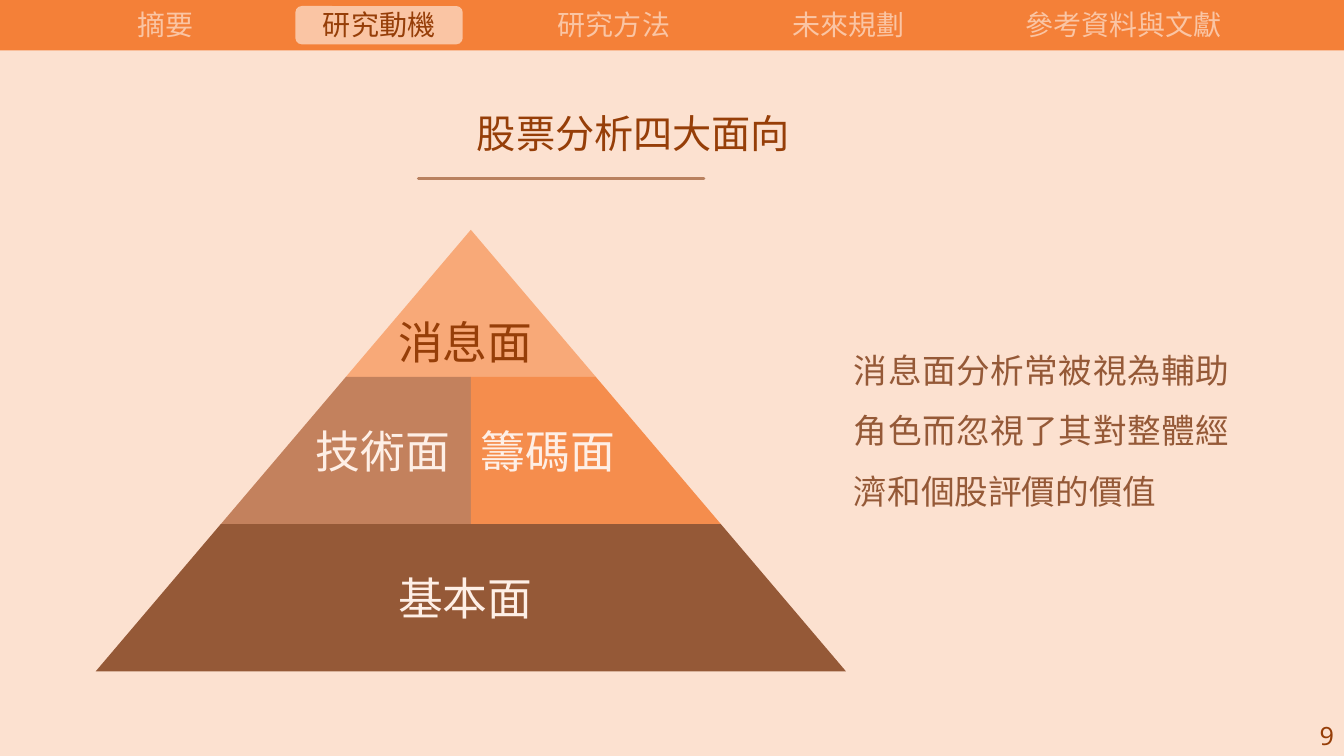
"""Build the slide on the four aspects of stock analysis."""
from pptx import Presentation, util as u
from pptx.dml.color import RGBColor
from pptx.enum import shapes, text
from pptx.oxml.xmlchemy import OxmlElement

BACKGROUND = RGBColor(0xFC, 0xE1, 0xD0)
BAR = RGBColor(0xF4, 0x80, 0x38)
TAB = RGBColor(0xFA, 0xC5, 0xA4)
RUST = RGBColor(0x96, 0x3E, 0x08)
RULE = RGBColor(0xB9, 0x81, 0x5F)
BROWN = RGBColor(0x95, 0x59, 0x37)
CLAY = RGBColor(0xC3, 0x81, 0x5D)
PEACH = RGBColor(0xF8, 0xA9, 0x78)
ORANGE = RGBColor(0xF5, 0x8D, 0x4D)
CREAM = RGBColor(0xFE, 0xEF, 0xE6)

CENTER, RIGHT, JUSTIFY = (
    text.PP_ALIGN.CENTER, text.PP_ALIGN.RIGHT, text.PP_ALIGN.JUSTIFY)
SHAPE = shapes.MSO_SHAPE

AXIS, APEX, TIER, SPREAD = 4.67, 2.28, 1.46, 1.24

NAVIGATION = [
    ("摘要", 1.22, 0.84),
    ("研究動機", 3.07, 1.38),
    ("研究方法", 5.4, 1.38),
    ("未來規劃", 7.73, 1.38),
    ("參考資料與文獻", 10.02, 2.25),
]
CURRENT = "研究動機"

PYRAMID_LABELS = [
    ("消息面", 3.85, 3.07, RUST),
    ("技術面", 3.03, 4.15, CREAM),
    ("籌碼面", 4.67, 4.15, CREAM),
    ("基本面", 3.85, 5.61, CREAM),
]


def set_values(target, values):
    for name, value in values.items():
        setattr(target, name, value)


def write(shape, wording, size, color, align, spacing=None):
    frame = shape.text_frame
    frame.text = wording
    set_values(frame, {"word_wrap": True, "vertical_anchor": text.MSO_ANCHOR.TOP,
                       "auto_size": text.MSO_AUTO_SIZE.NONE})
    paragraph = frame.paragraphs[0]
    set_values(paragraph, {"alignment": align, "line_spacing": spacing})
    set_values(paragraph.font, {"name": "Noto Sans", "size": u.Pt(size)})
    paragraph.font.color.rgb = color


def add_text(slide, box, *style):
    write(slide.shapes.add_textbox(*map(u.Inches, box)), *style)


def paint(shape, color):
    shape.shadow.inherit = False
    shape.fill.solid()
    shape.fill.fore_color.rgb = color
    shape.line.fill.background()


def add_block(slide, kind, box, color, adjustment=None):
    shape = slide.shapes.add_shape(kind, *map(u.Inches, box))
    if adjustment is not None:
        shape.adjustments[0] = adjustment
    paint(shape, color)


def add_outline(slide, points, color):
    start, *others = [(u.Inches(x), u.Inches(y)) for x, y in points]
    builder = slide.shapes.build_freeform(*start)
    builder.add_line_segments(others, close=True)
    paint(builder.convert_to_shape(), color)


def add_title(slide):
    title = slide.shapes.title
    box = map(u.Inches, (4.63, 1.03, 4.07, 0.57))
    set_values(title, dict(zip(("left", "top", "width", "height"), box)))
    write(title, "股票分析四大面向", 28, RUST, JUSTIFY)
    rule = slide.shapes.add_connector(
        shapes.MSO_CONNECTOR.STRAIGHT, *map(u.Inches, (4.15, 1.77, 6.98, 1.77)))
    rule.line.color.rgb = RULE
    rule.line.width = u.Pt(2.25)
    rule.line._get_or_add_ln().set("cap", "rnd")
    rule._element.spPr.append(OxmlElement("a:effectLst"))


def add_navigation(slide):
    add_block(slide, SHAPE.RECTANGLE, (0, 0, 13.33, 0.5), BAR)
    add_block(slide, SHAPE.ROUNDED_RECTANGLE, (2.93, 0.06, 1.66, 0.38), TAB)
    for label, left, width in NAVIGATION:
        color = RUST if label == CURRENT else TAB
        add_text(slide, (left, 0.03, width, 0.44), label, 20, color, CENTER)


def add_pyramid(slide):
    middle, base = APEX + TIER, APEX + 2 * TIER
    add_block(slide, SHAPE.ISOSCELES_TRIANGLE,
              (AXIS - SPREAD, APEX, 2 * SPREAD, TIER), PEACH)
    for side, color in ((-1, CLAY), (1, ORANGE)):
        add_outline(slide, [(AXIS, middle), (AXIS + side * SPREAD, middle),
                            (AXIS + side * 2 * SPREAD, base), (AXIS, base)], color)
    add_block(slide, SHAPE.TRAPEZOID,
              (AXIS - 3 * SPREAD, base, 6 * SPREAD, TIER), BROWN, SPREAD / TIER)
    for label, left, top, color in PYRAMID_LABELS:
        add_text(slide, (left, top, 1.63, 0.64), label, 32, color, JUSTIFY)


def main():
    presentation = Presentation()
    set_values(presentation, {"slide_width": u.Inches(13.33),
                              "slide_height": u.Inches(7.5)})
    slide = presentation.slides.add_slide(presentation.slide_layouts[5])
    slide.background.fill.solid()
    slide.background.fill.fore_color.rgb = BACKGROUND
    add_navigation(slide)
    add_title(slide)
    add_pyramid(slide)
    add_text(slide, (8.37, 3.22, 3.92, 1.85),
             "消息面分析常被視為輔助角色而忽視了其對整體經濟和個股評價的價值",
             24, BROWN, JUSTIFY, 1.5)
    add_text(slide, (12.83, 7.1, 0.5, 0.4), "9", 18, RUST, RIGHT)
    presentation.save("out.pptx")


if __name__ == "__main__":
    main()
